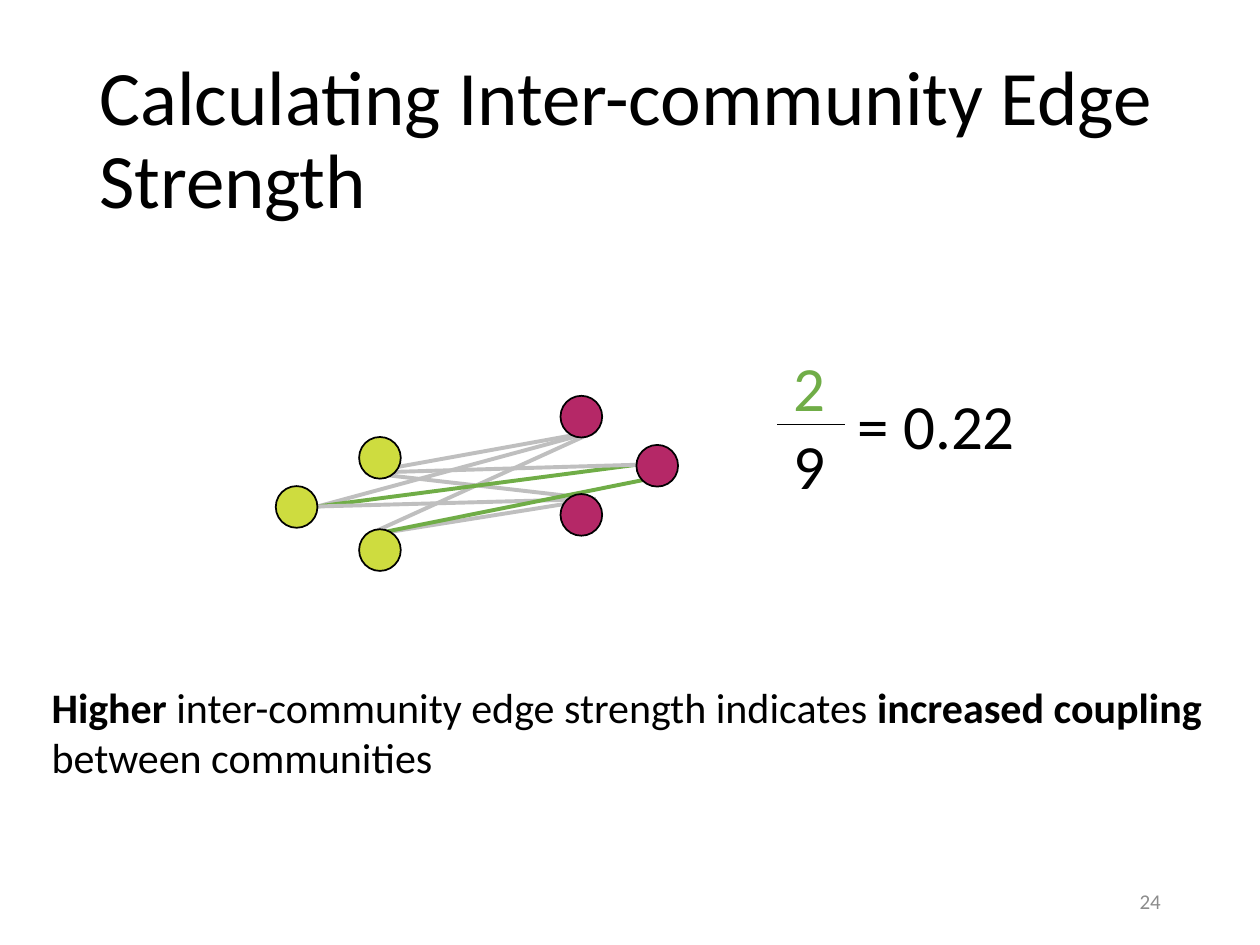
from lxml import etree
from pptx import Presentation
from pptx.dml.color import RGBColor
from pptx.enum.shapes import MSO_CONNECTOR, MSO_SHAPE
from pptx.enum.text import MSO_ANCHOR, PP_ALIGN
from pptx.oxml.ns import qn
from pptx.util import Cm, Pt

STRAIGHT = MSO_CONNECTOR.STRAIGHT
OVAL = MSO_SHAPE.OVAL
TOP, MIDDLE = MSO_ANCHOR.TOP, MSO_ANCHOR.MIDDLE
LEFT, RIGHT = PP_ALIGN.LEFT, PP_ALIGN.RIGHT

COLORS = {
    "black": "000000",
    "number": "8C8C8C",
    "absent": "BFBFBF",
    "present": "70AD47",
    "lime": "CEDC3F",
    "magenta": "B52867",
}
FONT = "Calibri"

TITLE = "Calculating Inter-community Edge Strength"
CONCLUSION = [
    ("Higher", True),
    (" inter-community edge strength indicates ", False),
    ("increased coupling ", True),
    ("between communities", False),
]
FRACTION = [
    ("2", "present", (15.75, 6.91, 1.63, 1.8)),
    ("9", "black", (15.75, 8.48, 1.63, 1.8)),
    ("= 0.22", "black", (17.04, 7.67, 4.14, 1.8)),
]
FRACTION_BAR = ((15.67, 8.56), (17.04, 8.56))

NODE_SIZE = 0.84
COMMUNITIES = {
    "lime": [(5.56, 9.8), (7.24, 8.81), (7.24, 10.67)],
    "magenta": [(11.3, 7.98), (12.83, 8.97), (11.3, 9.96)],
}
PORTS = {
    "lime top": (7.37, 9.53),
    "lime outer": (6.4, 10.21),
    "lime bottom": (7.37, 10.8),
    "magenta top": (12.01, 8.69),
    "magenta outer": (12.83, 9.37),
    "magenta outer low": (12.95, 9.68),
    "magenta bottom": (12.01, 10.06),
}
EDGES = [
    ("magenta top", "lime top", "absent"),
    ("magenta bottom", "lime bottom", "absent"),
    ("magenta top", "lime bottom", "absent"),
    ("magenta bottom", "lime top", "absent"),
    ("magenta top", "lime outer", "absent"),
    ("lime outer", "magenta outer", "present"),
    ("magenta bottom", "lime outer", "absent"),
    ("lime bottom", "magenta outer low", "present"),
    ("magenta outer", "lime top", "absent"),
]


def rgb(name):
    return RGBColor.from_string(COLORS[name])


def add_text(page, area, spans, size, color="black", anchor=TOP, align=LEFT, spacing=1.0):
    box = page.shapes.add_textbox(*(Cm(length) for length in area))
    frame = box.text_frame
    frame.word_wrap = True
    frame.vertical_anchor = anchor
    para = frame.paragraphs[0]
    para.alignment = align
    para.line_spacing = spacing
    para.font.name = FONT
    para.font.size = Pt(size)
    para.font.color.rgb = rgb(color)
    for text, bold in spans:
        span = para.add_run()
        span.text = text
        span.font.bold = bold


def add_line(shapes, start, end, color, width):
    line = shapes.add_connector(STRAIGHT, *(Cm(length) for length in start + end))
    line.line.color.rgb = rgb(color)
    line.line.width = Pt(width)
    etree.SubElement(line._element.spPr, qn("a:effectLst"))


def add_node(shapes, left, top, color):
    node = shapes.add_shape(OVAL, Cm(left), Cm(top), Cm(NODE_SIZE), Cm(NODE_SIZE))
    node.shadow.inherit = False
    node.fill.solid()
    node.fill.fore_color.rgb = rgb(color)
    node.line.color.rgb = rgb("black")
    node.line.width = Pt(1)


def main():
    deck = Presentation()
    deck.slide_width, deck.slide_height = Cm(25.4), Cm(19.05)
    page = deck.slides.add_slide(deck.slide_layouts[6])

    add_text(page, (1.75, 1.02, 21.89, 3.68), [(TITLE, False)], 44, anchor=MIDDLE, spacing=0.9)
    add_text(page, (17.93, 17.65, 5.72, 1.02), [("24", False)], 12, "number", MIDDLE, RIGHT)

    network = page.shapes.add_group_shape()
    for start, end, color in EDGES:
        add_line(network.shapes, PORTS[start], PORTS[end], color, 2.25)
    for color, nodes in COMMUNITIES.items():
        for left, top in nodes:
            add_node(network.shapes, left, top, color)

    for text, color, area in FRACTION:
        add_text(page, area, [(text, False)], 36, color)
    add_line(page.shapes, *FRACTION_BAR, "black", 1)
    add_text(page, (0.79, 13.61, 24.92, 2.31), CONCLUSION, 24)

    deck.save("out.pptx")


if __name__ == "__main__":
    main()
